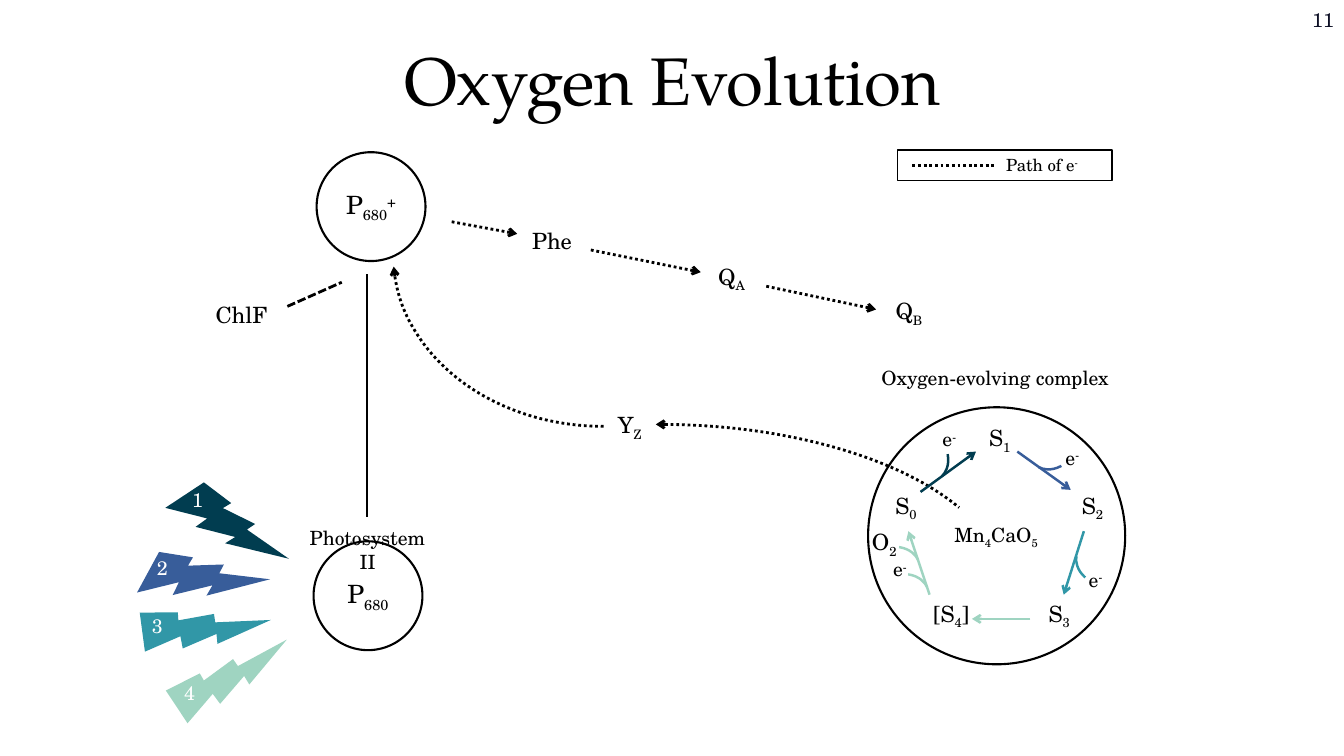
from dataclasses import dataclass
from typing import Any, Optional

import pptx
import pptx.dml.color
import pptx.enum.dml
import pptx.enum.shapes
import pptx.enum.text
import pptx.oxml.ns
import pptx.oxml.xmlchemy
import pptx.util
from pptx.util import Inches

RGBColor = pptx.dml.color.RGBColor
Shape = pptx.enum.shapes.MSO_SHAPE
Dash = pptx.enum.dml.MSO_LINE
Align = pptx.enum.text.PP_ALIGN
Anchor = pptx.enum.text.MSO_ANCHOR
qn = pptx.oxml.ns.qn

BLACK = RGBColor(0x00, 0x00, 0x00)
WHITE = RGBColor(0xFF, 0xFF, 0xFF)
INK = RGBColor(0x0E, 0x11, 0x26)
NAVY = RGBColor(0x01, 0x3D, 0x50)
BLUE = RGBColor(0x38, 0x5D, 0x9A)
TEAL = RGBColor(0x31, 0x97, 0xA7)
MINT = RGBColor(0x9F, 0xD4, 0xC1)
TITLE_FONT = "TeX Gyre Pagella"
BODY_FONT = "TeX Gyre Schola"
BASELINES = {"_": "-25000", "^": "30000"}


@dataclass
class Box:
    left: float
    top: float
    width: float
    height: float

    def lengths(self) -> list[int]:
        return [Inches(n) for n in (self.left, self.top, self.width, self.height)]


@dataclass
class Label:
    text: str
    box: Box
    size: float = 16
    color: RGBColor = BLACK
    align: Any = Align.CENTER
    anchor: Any = Anchor.TOP


@dataclass
class Stroke:
    color: RGBColor = BLACK
    width: float = 2
    dash: Any = None
    arrow: Optional[str] = None


@dataclass
class Segment:
    start: tuple[float, float]
    end: tuple[float, float]
    stroke: Stroke


@dataclass
class Arc:
    box: Box
    angles: tuple[float, float]
    stroke: Stroke
    rotation: float = 0


@dataclass
class Bolt:
    number: str
    box: Box
    rotation: float
    color: RGBColor
    number_at: tuple[float, float]


ELECTRON_PATH = Stroke(dash=Dash.ROUND_DOT)
ELECTRON_ARROW = Stroke(dash=Dash.ROUND_DOT, arrow="tailEnd")
OUTLINE = Stroke(width=1.5)
BRANCH_ANGLES = (181.073, 211.941)


def write(frame: Any, text: str, size: float, color: RGBColor, align: Any) -> None:
    """Write spans parted by |, where a leading _ lowers and ^ raises a span."""
    para = frame.paragraphs[0]
    para.alignment = align
    for part in text.split("|"):
        span = para.add_run()
        span.text = part.lstrip("_^")
        span.font.size = pptx.util.Pt(size)
        span.font.name = BODY_FONT
        span.font.color.rgb = color
        if part[0] in BASELINES:
            span.font._element.set("baseline", BASELINES[part[0]])


def add_label(shapes: Any, label: Label) -> None:
    frame = shapes.add_textbox(*label.box.lengths()).text_frame
    frame.word_wrap = True
    frame.vertical_anchor = label.anchor
    write(frame, label.text, label.size, label.color, label.align)


def apply_stroke(item: Any, stroke: Stroke) -> None:
    item.line.color.rgb = stroke.color
    item.line.width = pptx.util.Pt(stroke.width)
    if stroke.dash is not None:
        item.line.dash_style = stroke.dash
    if stroke.arrow:
        end = pptx.oxml.xmlchemy.OxmlElement(f"a:{stroke.arrow}")
        end.set("type", "arrow")
        item._element.spPr.find(qn("a:ln")).append(end)


def add_segment(shapes: Any, segment: Segment) -> None:
    points = [Inches(n) for n in segment.start + segment.end]
    line = shapes.add_connector(pptx.enum.shapes.MSO_CONNECTOR.STRAIGHT, *points)
    apply_stroke(line, segment.stroke)
    line._element.spPr.append(pptx.oxml.xmlchemy.OxmlElement("a:effectLst"))


def add_outline(shapes: Any, kind: Any, box: Box, stroke: Stroke) -> Any:
    shape = shapes.add_shape(kind, *box.lengths())
    shape.fill.background()
    apply_stroke(shape, stroke)
    shape.shadow.inherit = False
    return shape


def add_arc(shapes: Any, arc: Arc) -> None:
    shape = add_outline(shapes, Shape.ARC, arc.box, arc.stroke)
    shape.adjustments[0], shape.adjustments[1] = arc.angles
    shape.rotation = arc.rotation


def add_pigment(shapes: Any, text: str, left: float, top: float) -> None:
    circle = add_outline(shapes, Shape.OVAL, Box(left, top, 1.08, 1.08), OUTLINE)
    circle.text_frame.word_wrap = False
    circle.text_frame.vertical_anchor = Anchor.MIDDLE
    write(circle.text_frame, text, 18, BLACK, Align.CENTER)


def add_bolt(shapes: Any, bolt: Bolt) -> None:
    shape = shapes.add_shape(Shape.LIGHTNING_BOLT, *bolt.box.lengths())
    shape.rotation = bolt.rotation
    shape.fill.solid()
    shape.fill.fore_color.rgb = bolt.color
    shape.line.fill.background()
    shape.shadow.inherit = False


def add_title(page: Any, text: str) -> None:
    title = page.shapes.title
    title.left, title.top, title.width, title.height = Box(0.92, 0.4, 11.5, 0.87).lengths()
    title.text_frame.text = text
    title.text_frame.vertical_anchor = Anchor.MIDDLE
    para = title.text_frame.paragraphs[0]
    para.alignment = Align.CENTER
    para.line_spacing = 0.9
    para.font.size = pptx.util.Pt(48)
    para.font.name = TITLE_FONT
    para.font.color.rgb = BLACK


def add_electron_chain(shapes: Any) -> None:
    add_arc(shapes, Arc(Box(3.09, 4.21, 6.88, 3.29), (161.469, 206.782),
                        Stroke(dash=Dash.ROUND_DOT, arrow="headEnd")))
    add_arc(shapes, Arc(Box(3.9, 0.82, 4.16, 3.41), (53.859, 106), ELECTRON_ARROW))
    for start, end in (((4.48, 2.2), (5.13, 2.32)), ((5.86, 2.48), (6.95, 2.7)),
                       ((7.6, 2.84), (8.69, 3.07))):
        add_segment(shapes, Segment(start, end, ELECTRON_ARROW))
    for text, left, top in (("Phe", 5.13, 2.2), ("Q|_A", 6.91, 2.56),
                            ("Q|_B", 8.67, 2.9), ("Y|_Z", 5.9, 4.03)):
        add_label(shapes, Label(text, Box(left, top, 0.69, 0.35)))


def add_photosystem(shapes: Any) -> None:
    add_label(shapes, Label("Photosystem II", Box(2.87, 5.17, 1.55, 1.55), 14))
    add_pigment(shapes, "P|_680", 3.11, 5.37)
    add_pigment(shapes, "P|_680|^+", 3.14, 1.51)
    add_segment(shapes, Segment((3.64, 2.72), (3.64, 5.13), Stroke()))
    add_segment(shapes, Segment((2.85, 3.04), (3.39, 2.8), Stroke(dash=Dash.SQUARE_DOT)))
    add_label(shapes, Label("ChlF", Box(1.94, 2.94, 0.91, 0.44)))
    bolts = (Bolt("1", Box(1.69, 4.75, 1.09, 0.92), 347.7, NAVY, (1.79, 4.79)),
             Bolt("2", Box(1.42, 5.29, 1.09, 0.92), 319.6, BLUE, (1.44, 5.47)),
             Bolt("3", Box(1.55, 5.66, 0.83, 1.2), 296, TEAL, (1.39, 6.04)),
             Bolt("4", Box(1.83, 6.16, 0.83, 1.2), 270, MINT, (1.71, 6.71)))
    for bolt in bolts:
        add_bolt(shapes, bolt)
    for bolt in bolts:
        add_label(shapes, Label(bolt.number, Box(*bolt.number_at, 0.34, 0.34), 14, WHITE))


def add_legend(shapes: Any) -> None:
    add_segment(shapes, Segment((9.05, 1.64), (9.88, 1.64), ELECTRON_PATH))
    add_outline(shapes, Shape.RECTANGLE, Box(8.9, 1.49, 2.13, 0.3), Stroke(width=1))
    add_label(shapes, Label("Path of e|^-", Box(9.88, 1.49, 1.15, 0.29), 12, align=Align.LEFT))


def add_oxygen_complex(shapes: Any) -> None:
    add_outline(shapes, Shape.OVAL, Box(8.61, 4.04, 2.55, 2.55), OUTLINE)
    add_label(shapes, Label("Mn|_4|CaO|_5", Box(9.31, 5.14, 1.14, 0.35), 14))
    add_label(shapes, Label("Oxygen-evolving complex", Box(8.23, 3.58, 3.28, 3.28), 14))
    for text, left, top, width in (("S|_0", 8.74, 4.83, 0.49), ("S|_1", 9.67, 4.16, 0.49),
                                   ("S|_2", 10.59, 4.83, 0.49), ("S|_3", 10.26, 5.9, 0.49),
                                   ("[S|_4|]", 9.11, 5.9, 0.65), ("O|_2", 8.45, 5.19, 0.64)):
        add_label(shapes, Label(text, Box(left, top, width, 0.38)))
    for start, end, color in (((9.13, 4.88), (9.68, 4.48), NAVY),
                              ((10.09, 4.48), (10.62, 4.86), BLUE),
                              ((10.75, 5.27), (10.55, 5.9), TEAL),
                              ((10.22, 6.14), (9.64, 6.14), MINT),
                              ((9.22, 5.9), (9.01, 5.27), MINT)):
        add_segment(shapes, Segment(start, end, Stroke(color, 1.75, arrow="tailEnd")))
    for left, top, rotation, color in ((8.88, 4.29, 53.8, NAVY), (10.16, 4.16, 126.3, BLUE),
                                       (10.67, 5.33, 196.2, TEAL), (8.67, 5.7, 343.1, MINT),
                                       (8.58, 5.43, 343.1, MINT)):
        add_arc(shapes, Arc(Box(left, top, 0.55, 0.47), BRANCH_ANGLES,
                            Stroke(color, 1.75), rotation))
    for left, top in ((9.22, 4.19), (10.44, 4.37), (10.67, 5.58), (8.73, 5.48)):
        add_label(shapes, Label("e|^-", Box(left, top, 0.39, 0.32), 14))


def main() -> None:
    deck = pptx.Presentation()
    deck.slide_width, deck.slide_height = Inches(13.33), Inches(7.5)
    page = deck.slides.add_slide(deck.slide_layouts[5])
    add_title(page, "Oxygen Evolution")
    add_photosystem(page.shapes)
    add_electron_chain(page.shapes)
    add_legend(page.shapes.add_group_shape().shapes)
    add_oxygen_complex(page.shapes.add_group_shape().shapes)
    add_label(page.shapes, Label("11", Box(10.33, 0, 3, 0.4), 14, INK, Align.RIGHT, Anchor.MIDDLE))
    deck.save("out.pptx")


if __name__ == "__main__":
    main()
